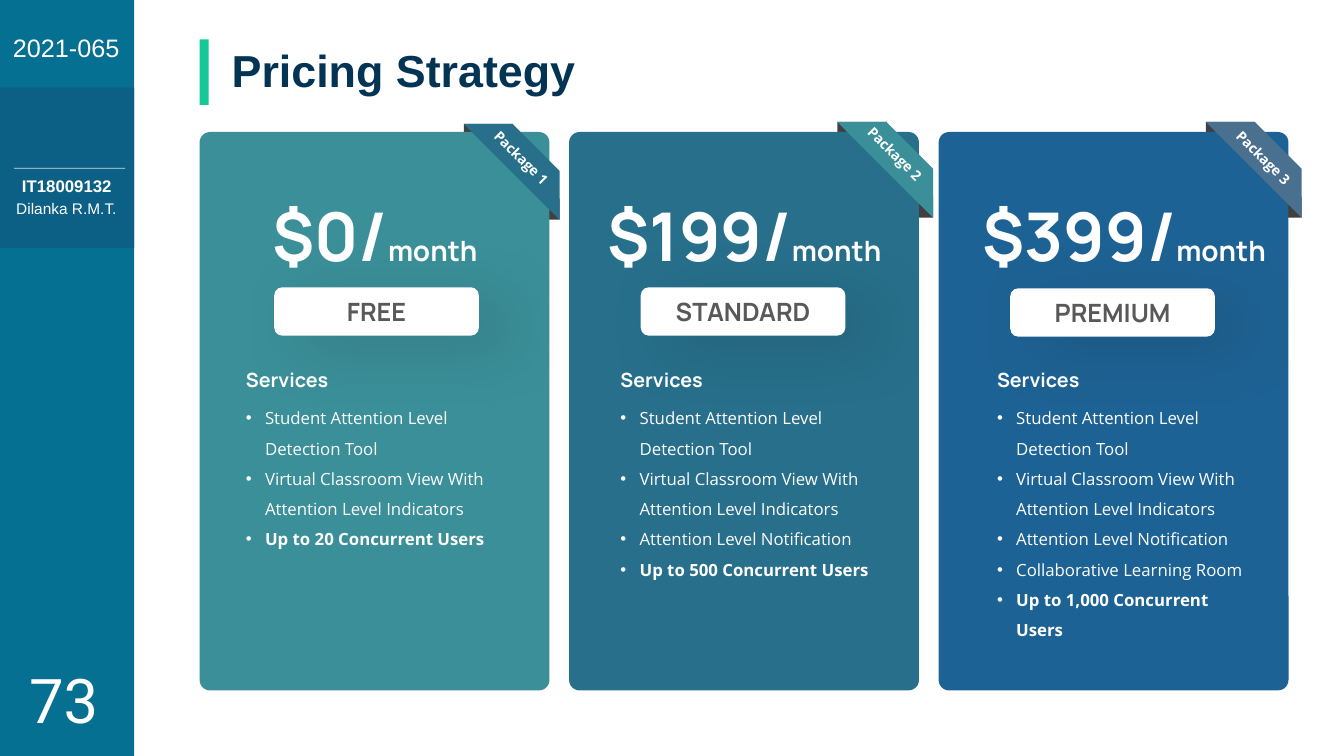
from lxml.etree import SubElement
from pptx import Presentation
from pptx.dml.color import RGBColor
from pptx.enum.shapes import MSO_CONNECTOR, MSO_SHAPE
from pptx.enum.text import PP_ALIGN
from pptx.oxml.ns import qn
from pptx.util import Inches, Pt

TITLE = "Pricing Strategy"
PROJECT, STUDENT_ID, STUDENT, PAGE = "2021-065", "IT18009132", "Dilanka R.M.T.", "73"
DETECTION = "Student Attention Level Detection Tool"
INDICATORS = "Virtual Classroom View With Attention Level Indicators"
NOTIFICATION = "Attention Level Notification"
ROOM = "Collaborative Learning Room"
PLANS = [
    dict(tag="Package 1", price="$0/", name="FREE", fill="3A8F98", ribbon="276F8B",
         services=[DETECTION, INDICATORS, "Up to 20 Concurrent Users"],
         price_w=3, badge=(0.74, 2.85), list_x=0.36, fold=(2.62, 1.23), tag_y=1.43),
    dict(tag="Package 2", price="$199/", name="STANDARD", fill="276F8B", ribbon="3A8F98",
         services=[DETECTION, INDICATORS, NOTIFICATION, "Up to 500 Concurrent Users"],
         price_w=3, badge=(0.71, 2.85), list_x=0.41, fold=(2.66, 1.21), tag_y=1.39),
    dict(tag="Package 3", price="$399/", name="PREMIUM", fill="1D6294", ribbon="4A7090",
         services=[DETECTION, INDICATORS, NOTIFICATION, ROOM, "Up to 1,000 Concurrent Users"],
         price_w=3.2, badge=(0.71, 2.86), list_x=0.48, fold=(2.65, 1.21), tag_y=1.43),
]
WHITE, FOLD, GREY = "FFFFFF", "404040", "595959"
SLIDE_W, SLIDE_H, SIDEBAR_W = 13.33, 7.5, 1.33
CARD_X, CARD_Y, CARD_W, CARD_H, CARD_GAP = 1.98, 1.31, 3.47, 5.54, 0.195
BADGE_W, BADGE_H, RIBBON = 2.03, 0.48, 0.95


def color(hex_code):
    return RGBColor.from_string(hex_code)


def box(shapes, kind, x, y, w, h, fill, adj=None):
    sp = shapes.add_shape(kind, Inches(x), Inches(y), Inches(w), Inches(h))
    sp.shadow.inherit = False
    sp.fill.solid()
    sp.fill.fore_color.rgb = color(fill)
    sp.line.fill.background()
    if adj is not None:
        sp.adjustments[0] = adj
    return sp


def style(r, size, font, hex_code=WHITE, bold=False):
    r.font.size, r.font.name, r.font.bold = Pt(size), font, bold
    r.font.color.rgb = color(hex_code)


def label(shapes, text, x, y, w, h, size, font, hex_code=WHITE, bold=False,
          align=PP_ALIGN.LEFT, wrap=True):
    sp = shapes.add_textbox(Inches(x), Inches(y), Inches(w), Inches(h))
    tf = sp.text_frame
    tf.word_wrap = wrap
    tf.text = text
    p = tf.paragraphs[0]
    p.alignment = align
    style(p.runs[0], size, font, hex_code, bold)
    return sp


def alpha(fill, percent):
    SubElement(fill, qn("a:alpha"), val=str(percent * 1000))


def soft_shadow(sp):
    effects = sp._element.spPr.find(qn("a:effectLst"))
    shadow = SubElement(effects, qn("a:outerShdw"), blurRad=str(Pt(45)), dist=str(Pt(22)),
                        dir=str(25 * 60000), algn="tl", rotWithShape="0")
    alpha(SubElement(shadow, qn("a:srgbClr"), val="262626"), 17)


def bullets(shapes, items, x, y, w):
    tf = shapes.add_textbox(Inches(x), Inches(y), Inches(w),
                            Inches(0.4 + 0.3 * len(items))).text_frame
    tf.word_wrap = True
    for i, item in enumerate(items):
        p = tf.paragraphs[0] if i == 0 else tf.add_paragraph()
        p.text = item
        pPr = p._p.get_or_add_pPr()
        pPr.set("marL", str(Inches(0.19)))
        pPr.set("indent", str(-Inches(0.19)))
        SubElement(pPr, qn("a:buFont"), typeface="Arial")
        SubElement(pPr, qn("a:buChar"), char="•")
        p.line_spacing = 1.5
        style(p.runs[0], 12, "Open Sans", bold=i == len(items) - 1)


def sidebar(shapes):
    box(shapes, MSO_SHAPE.RECTANGLE, 0, 0, SIDEBAR_W, SLIDE_H, "057092")
    box(shapes, MSO_SHAPE.RECTANGLE, 0, 0.87, SIDEBAR_W, 1.59, "0D6085")
    label(shapes, PROJECT, 0.03, 0.27, 1.27, 0.4, 18, "Arial", wrap=False)
    rule = shapes.add_connector(MSO_CONNECTOR.STRAIGHT, Inches(0.14), Inches(1.67),
                                Inches(1.24), Inches(1.67))
    rule.line.width = Pt(0.5)
    rule.line.color.rgb = color(WHITE)
    spPr = rule._element.spPr
    alpha(spPr.find(".//" + qn("a:srgbClr")), 80)
    SubElement(spPr, qn("a:effectLst"))
    label(shapes, PAGE, 0.19, 6.52, 0.94, 0.84, 44, "Roboto", wrap=False)
    label(shapes, STUDENT_ID, 0.12, 1.69, 1.1, 0.3, 12, "Arial", bold=True, wrap=False)
    label(shapes, STUDENT, 0.06, 1.93, 1.2, 0.47, 11, "Arial", align=PP_ALIGN.CENTER)


def plan_card(shapes, plan, x):
    rx, ry = x + plan["fold"][0], plan["fold"][1]
    bx, by = x + plan["badge"][0], plan["badge"][1]
    lx = x + plan["list_x"]
    box(shapes, MSO_SHAPE.RECTANGLE, rx + 0.61, ry + 0.74, 0.34, 0.21, FOLD)
    box(shapes, MSO_SHAPE.RECTANGLE, rx, ry, 0.49, 0.3, FOLD)
    box(shapes, MSO_SHAPE.ROUNDED_RECTANGLE, x, CARD_Y, CARD_W, CARD_H, plan["fill"], 0.03)

    price = label(shapes, plan["price"], x + 0.24, 1.88, plan["price_w"], 0.91, 48, "Manrope",
                  bold=True, align=PP_ALIGN.CENTER)
    r = price.text_frame.paragraphs[0].add_run()
    r.text = "month"
    style(r, 20, "Manrope", bold=True)

    soft_shadow(box(shapes, MSO_SHAPE.ROUNDED_RECTANGLE, bx, by, BADGE_W, BADGE_H, WHITE))
    label(shapes, plan["name"], bx + 0.165, by + 0.04, BADGE_W - 0.33, 0.4, 18, "Manrope",
          GREY, True, PP_ALIGN.CENTER)
    label(shapes, "Services", lx, 3.6, 2.75, 0.34, 14, "Manrope", bold=True)
    bullets(shapes, plan["services"], lx, 3.9, 2.75)

    ribbon = box(shapes, MSO_SHAPE.DIAGONAL_STRIPE, rx, ry, RIBBON, RIBBON,
                 plan["ribbon"], 0.49)
    ribbon.rotation = 90
    tag = label(shapes, plan["tag"], rx + 0.04, plan["tag_y"], 1.06, 0.27, 10, "Open Sans",
                bold=True, align=PP_ALIGN.CENTER)
    tag.rotation = 45


def main():
    prs = Presentation()
    prs.slide_width, prs.slide_height = Inches(SLIDE_W), Inches(SLIDE_H)
    s = prs.slides.add_slide(prs.slide_layouts[6])
    sidebar(s.shapes)
    box(s.shapes, MSO_SHAPE.RECTANGLE, CARD_X, 0.39, 0.09, 0.65, "16C79A")
    label(s.shapes, TITLE, 2.2, 0.37, 3.64, 0.64, 32, "Arial", "033454", True, wrap=False)
    for i, plan in enumerate(PLANS):
        card = s.shapes.add_group_shape()
        plan_card(card.shapes, plan, CARD_X + i * (CARD_W + CARD_GAP))
    prs.save("out.pptx")


if __name__ == "__main__":
    main()
